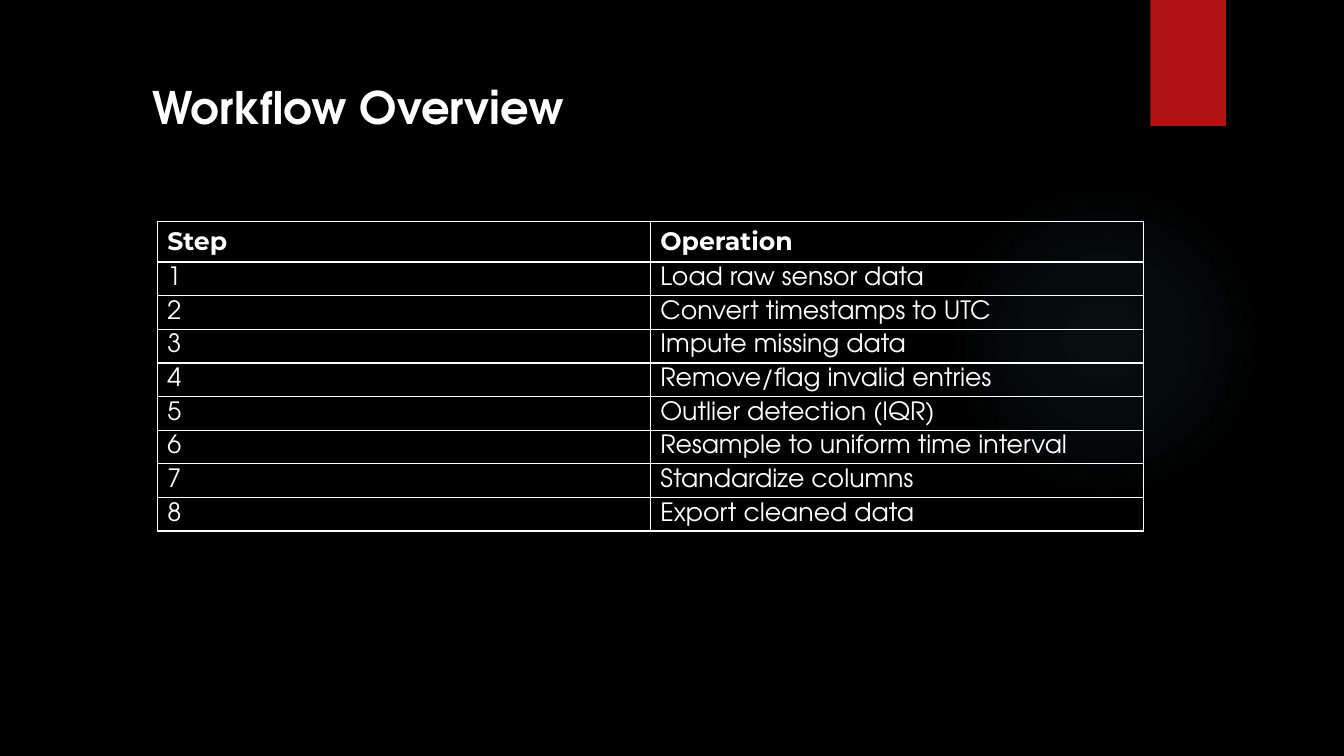
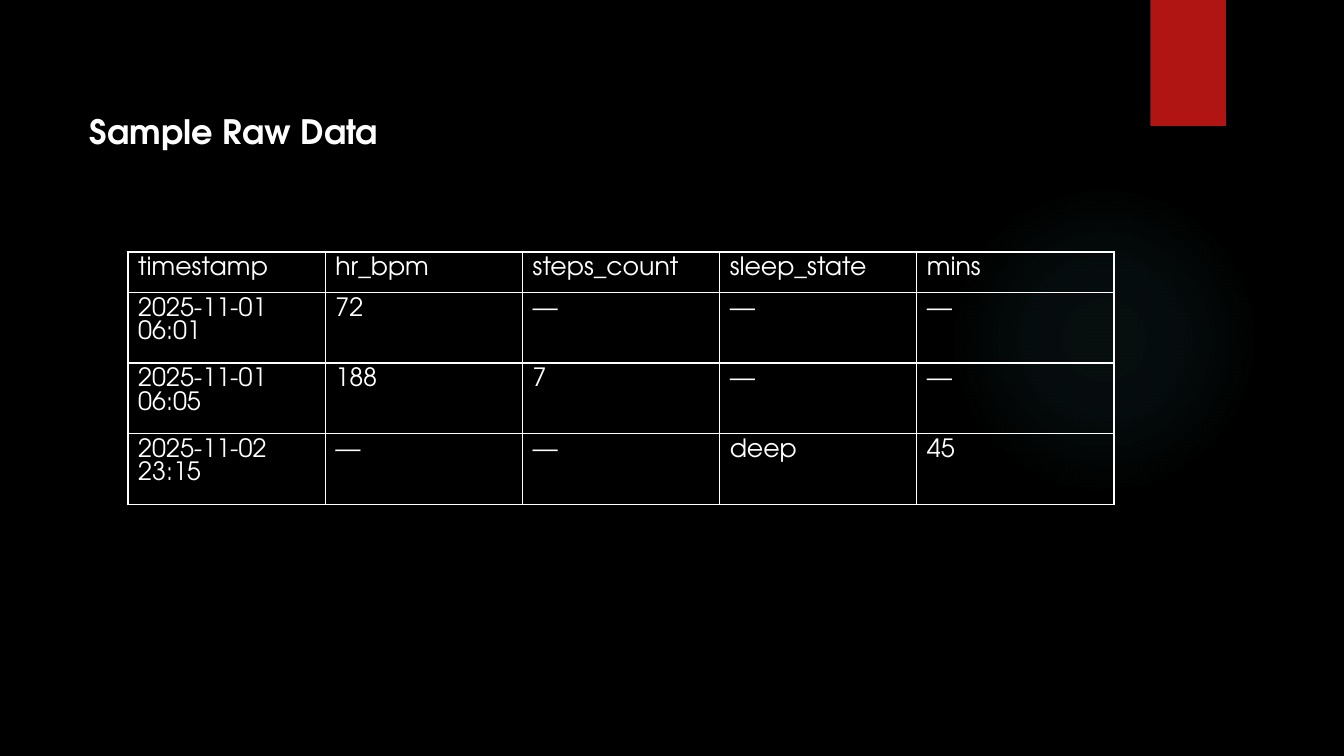
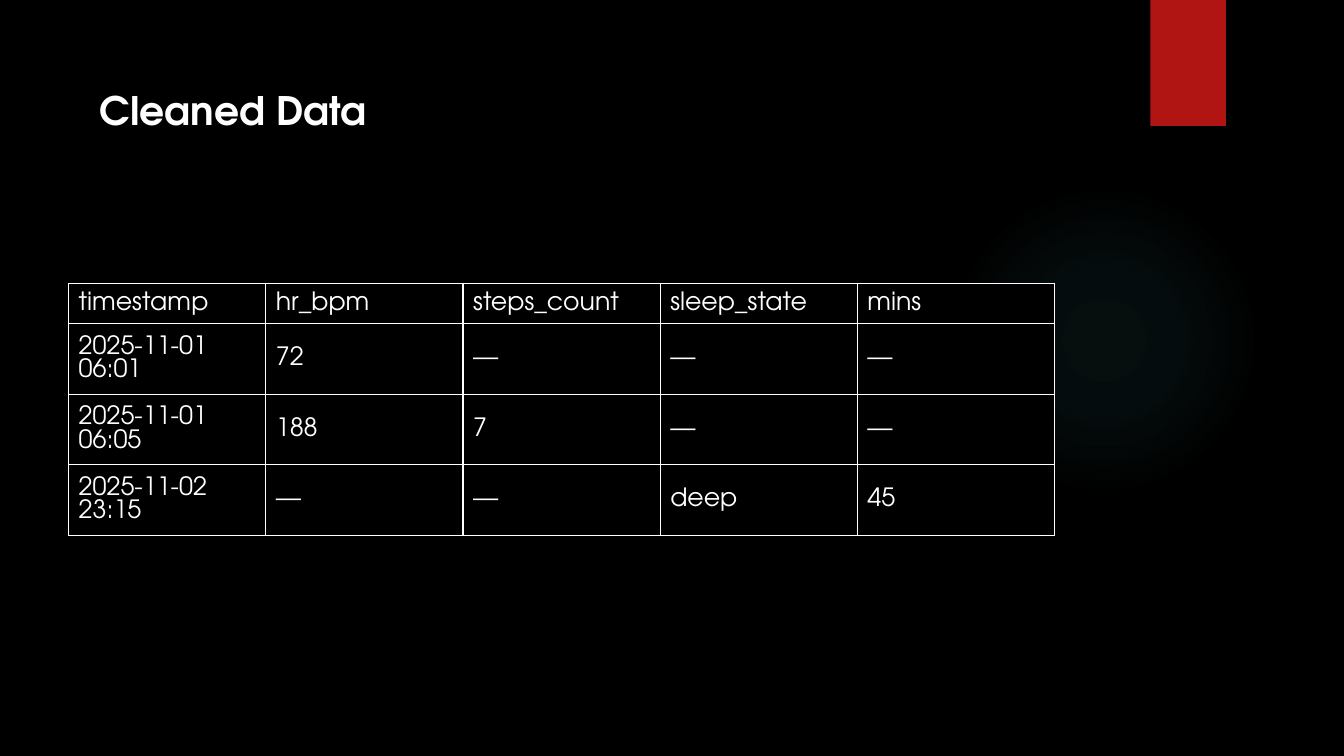
"""Builds three dark slides on sensor data cleaning, each with a title and a table."""
from dataclasses import dataclass

from lxml.etree import SubElement
from pptx import Presentation
from pptx.dml.color import RGBColor
from pptx.enum.shapes import MSO_SHAPE
from pptx.enum.text import MSO_ANCHOR, MSO_AUTO_SIZE, PP_ALIGN
from pptx.oxml import parse_xml
from pptx.oxml.ns import nsdecls, qn
from pptx.util import Inches, Pt


@dataclass(frozen=True)
class Theme:
    background: str = "000000"
    text: str = "FFFFFF"
    accent: str = "B01513"
    glow: str = "50B9C1"
    glow_stops: tuple = ((0, 7), (36, 6), (69, 0))
    font: str = "TeX Gyre Adventor"
    header_font: str = "Montserrat"
    cell_size: int = 18
    border: float = 1
    table_width: float = 9.78
    header_height: float = 0.4


THEME = Theme()

OPERATIONS = [
    "Load raw sensor data",
    "Convert timestamps to UTC",
    "Impute missing data",
    "Remove/flag invalid entries",
    "Outlier detection (IQR)",
    "Resample to uniform time interval",
    "Standardize columns",
    "Export cleaned data",
]
WORKFLOW = [("Step", "Operation")] + [
    (str(step), operation) for step, operation in enumerate(OPERATIONS, 1)
]
READINGS = [
    ("timestamp", "hr_bpm", "steps_count", "sleep_state", "mins"),
    ("2025-11-01 06:01", "72", "—", "—", "—"),
    ("2025-11-01 06:05", "188", "7", "—", "—"),
    ("2025-11-02 23:15", "—", "—", "deep", "45"),
]

SLIDES = [
    dict(title="Workflow Overview", title_size=32, title_box=(1.41, 0.74, 5.04, 0.64),
         rows=WORKFLOW, corner=(1.56, 2.2), body_height=2.67, bold_header=True,
         anchor=MSO_ANCHOR.MIDDLE, align=PP_ALIGN.JUSTIFY, padding=0.01),
    dict(title="Sample Raw Data", title_size=24, title_box=(0.79, 1.05, 3.38, 0.5),
         rows=READINGS, corner=(1.27, 2.5), body_height=2.1),
    dict(title="Cleaned Data", title_size=28, title_box=(0.89, 0.81, 6.67, 0.57),
         rows=READINGS, corner=(0.68, 2.81), body_height=2.1,
         anchor=MSO_ANCHOR.MIDDLE, cell_fill=THEME.background),
]


def color(code):
    return RGBColor.from_string(code)


def style_font(font, size, name=THEME.font, bold=False):
    font.name, font.size, font.bold = name, Pt(size), bold
    font.color.rgb = color(THEME.text)


def add_decoration(slide, layout, kind, box):
    shape = slide.shapes.add_shape(kind, *map(Inches, box))
    shape.shadow.inherit = False
    shape.line.fill.background()
    shape.fill.solid()
    shape.fill.fore_color.rgb = color(THEME.accent)
    layout.shapes.element.append(shape.element)
    return shape


def set_glow(shape):
    stops = "".join(
        f'<a:gs pos="{position * 1000}"><a:srgbClr val="{THEME.glow}">'
        f'<a:alpha val="{alpha * 1000}"/></a:srgbClr></a:gs>'
        for position, alpha in THEME.glow_stops
    )
    gradient = parse_xml(
        f'<a:gradFill {nsdecls("a")} rotWithShape="1"><a:gsLst>{stops}</a:gsLst>'
        '<a:path path="circle"><a:fillToRect l="50000" t="50000" r="50000" b="50000"/>'
        '</a:path></a:gradFill>'
    )
    properties = shape.element.spPr
    properties.replace(properties.find(qn("a:solidFill")), gradient)


def set_borders(cell):
    properties = cell._tc.get_or_add_tcPr()
    for side in ("lnL", "lnR", "lnT", "lnB"):
        line = SubElement(properties, qn(f"a:{side}"), w=str(Pt(THEME.border)))
        fill = SubElement(line, qn("a:solidFill"))
        SubElement(fill, qn("a:srgbClr"), val=THEME.text)


def add_title(slide, text, size, box):
    title = slide.shapes.title
    title.left, title.top, title.width, title.height = map(Inches, box)
    frame = title.text_frame
    frame.text = text
    frame.word_wrap = True
    frame.auto_size = MSO_AUTO_SIZE.SHAPE_TO_FIT_TEXT
    frame.vertical_anchor = MSO_ANCHOR.TOP
    heading = frame.paragraphs[0]
    heading.alignment = PP_ALIGN.LEFT
    style_font(heading.font, size, bold=True)


def add_data_table(slide, rows, corner, body_height, bold_header=False,
                   anchor=MSO_ANCHOR.TOP, align=PP_ALIGN.LEFT, padding=0.05,
                   cell_fill=None):
    body_rows = len(rows) - 1
    heights = [THEME.header_height] + [body_height / body_rows] * body_rows
    columns = len(rows[0])
    table = slide.shapes.add_table(
        len(rows), columns, *map(Inches, (*corner, THEME.table_width, sum(heights)))
    ).table
    table.first_row = table.horz_banding = False
    for column in table.columns:
        column.width = Inches(THEME.table_width / columns)
    for r, (values, height) in enumerate(zip(rows, heights)):
        table.rows[r].height = Inches(height)
        strong = bold_header and r == 0
        for c, value in enumerate(values):
            cell = table.cell(r, c)
            cell.text = value
            cell.vertical_anchor = anchor
            cell.margin_top = cell.margin_bottom = Inches(padding)
            set_borders(cell)
            if cell_fill:
                cell.fill.solid()
                cell.fill.fore_color.rgb = color(cell_fill)
            else:
                cell.fill.background()
            entry = cell.text_frame.paragraphs[0]
            entry.alignment = align
            style_font(entry.font, THEME.cell_size,
                       THEME.header_font if strong else THEME.font, strong)


def main():
    prs = Presentation()
    prs.slide_width, prs.slide_height = Inches(13.33), Inches(7.5)
    backdrop = prs.slide_master.background.fill
    backdrop.solid()
    backdrop.fore_color.rgb = color(THEME.background)
    layout = prs.slide_layouts.get_by_name("Title Only")

    for number, content in enumerate(SLIDES):
        slide = prs.slides.add_slide(layout)
        if number == 0:
            set_glow(add_decoration(slide, layout, MSO_SHAPE.OVAL, (9.41, 1.83, 3.08, 3.08)))
            add_decoration(slide, layout, MSO_SHAPE.RECTANGLE, (11.41, 0, 0.75, 1.25))
        table = dict(content)
        add_title(slide, table.pop("title"), table.pop("title_size"), table.pop("title_box"))
        add_data_table(slide, **table)

    prs.save("out.pptx")


if __name__ == "__main__":
    main()
